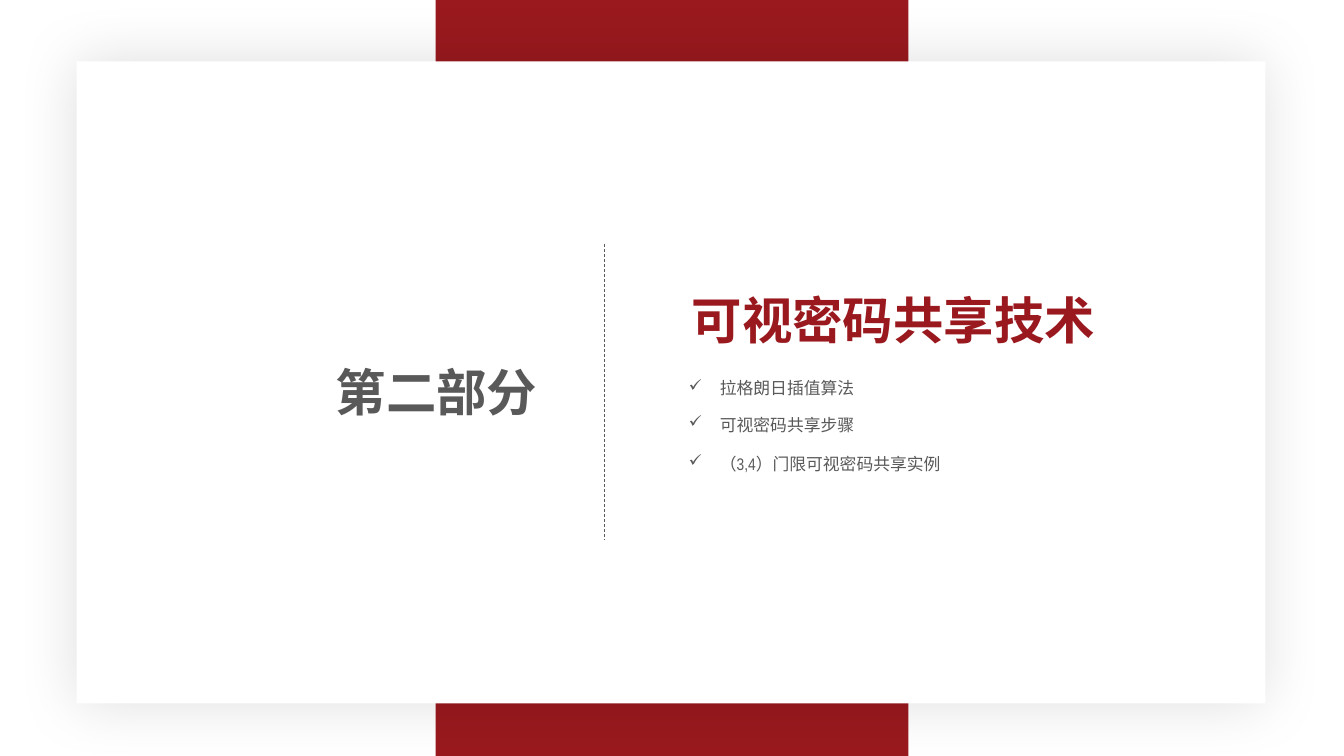
from pptx import Presentation
from pptx.dml.color import RGBColor
from pptx.enum.dml import MSO_LINE
from pptx.enum.shapes import MSO_CONNECTOR as Conn, MSO_SHAPE as Form
from pptx.enum.text import MSO_ANCHOR as Anchor, MSO_AUTO_SIZE as Fit, PP_ALIGN as Align
from pptx.oxml import parse_xml
from pptx.oxml.ns import nsdecls
from pptx.util import Inches, Pt

RED, GREY, WHITE = "99191E", "595959", "FFFFFF"


def paint(color, code):
    color.rgb = RGBColor.from_string(code)


class Page:
    font = "Arial Narrow"

    def __init__(self, deck):
        self.slide = deck.slides.add_slide(deck.slide_layouts[5])
        self.shapes = self.slide.shapes

    def rect(self, box, fill):
        shape = self.shapes.add_shape(Form.RECTANGLE, *map(Inches, box))
        shape.shadow.inherit = False
        shape.fill.solid()
        paint(shape.fill.fore_color, fill)
        shape.line.fill.background()
        return shape

    def glow(self, shape, blur, alpha):
        effects = shape.element.spPr.find(".//{*}effectLst")
        effects.append(parse_xml(
            f'<a:outerShdw {nsdecls("a")} blurRad="{Pt(blur)}" dist="0" dir="0" '
            'algn="ctr" rotWithShape="0"><a:srgbClr val="000000">'
            f'<a:alpha val="{alpha * 1000}"/></a:srgbClr></a:outerShdw>'))

    def style(self, shape, text, size, color, bold=False, align=Align.LEFT, pad=(0.1, 0.05)):
        frame = shape.text_frame
        frame.text = text
        frame.word_wrap = True
        frame.auto_size = Fit.NONE
        frame.vertical_anchor = Anchor.TOP
        frame.margin_left = frame.margin_right = Inches(pad[0])
        frame.margin_top = frame.margin_bottom = Inches(pad[1])
        para = frame.paragraphs[0]
        para.alignment = align
        font = para.runs[0].font
        font.name, font.size, font.bold = self.font, Pt(size), bold
        paint(font.color, color)
        return para

    def title(self, box, text, size, color):
        shape = self.shapes.title
        shape.left, shape.top, shape.width, shape.height = map(Inches, box)
        self.style(shape, text, size, color, bold=True)
        # Bring the title in front of the card
        shape.element.getparent().append(shape.element)

    def text(self, box, text, size, color, **look):
        shape = self.shapes.add_textbox(*map(Inches, box))
        return self.style(shape, text, size, color, **look)

    def bullet(self, box, text, size, color):
        para = self.text(box, text, size, color, pad=(0.07, 0.04))
        props = para._p.get_or_add_pPr()
        props.set("marL", str(Inches(0.31)))
        props.set("indent", str(-Inches(0.31)))
        props.append(parse_xml(f'<a:buFont {nsdecls("a")} typeface="Wingdings"/>'))
        props.append(parse_xml(f'<a:buChar {nsdecls("a")} char="ü"/>'))

    def line(self, start, end, color, width):
        line = self.shapes.add_connector(Conn.STRAIGHT, *map(Inches, start + end))
        paint(line.line.color, color)
        line.line.width = Pt(width)
        line.line.dash_style = MSO_LINE.DASH
        line.element.spPr.append(parse_xml(f'<a:effectLst {nsdecls("a")}/>'))


def main():
    deck = Presentation()
    deck.slide_width, deck.slide_height = Inches(13.33), Inches(7.5)
    page = Page(deck)

    # Red band behind a white card
    page.rect((4.32, 0, 4.69, 7.5), RED)
    card = page.rect((0.76, 0.61, 11.79, 6.37), WHITE)
    page.glow(card, 44, 12)

    # Part number and title
    page.text((1.81, 3.53, 5.04, 0.71), "第二部分", 36, GREY, bold=True, align=Align.CENTER)
    page.title((6.76, 2.82, 4.24, 0.71), "可视密码共享技术", 36, RED)

    # Topics
    topics = [
        (3.71, 1.81, "拉格朗日插值算法"),
        (4.07, 1.81, "可视密码共享步骤"),
        (4.46, 2.65, "（3,4）门限可视密码共享实例"),
    ]
    for top, width, topic in topics:
        page.bullet((6.76, top, width, 0.28), topic, 12, GREY)

    # Divider
    page.line((5.99, 2.42), (5.99, 5.35), GREY, 0.5)

    deck.save("out.pptx")


if __name__ == "__main__":
    main()
